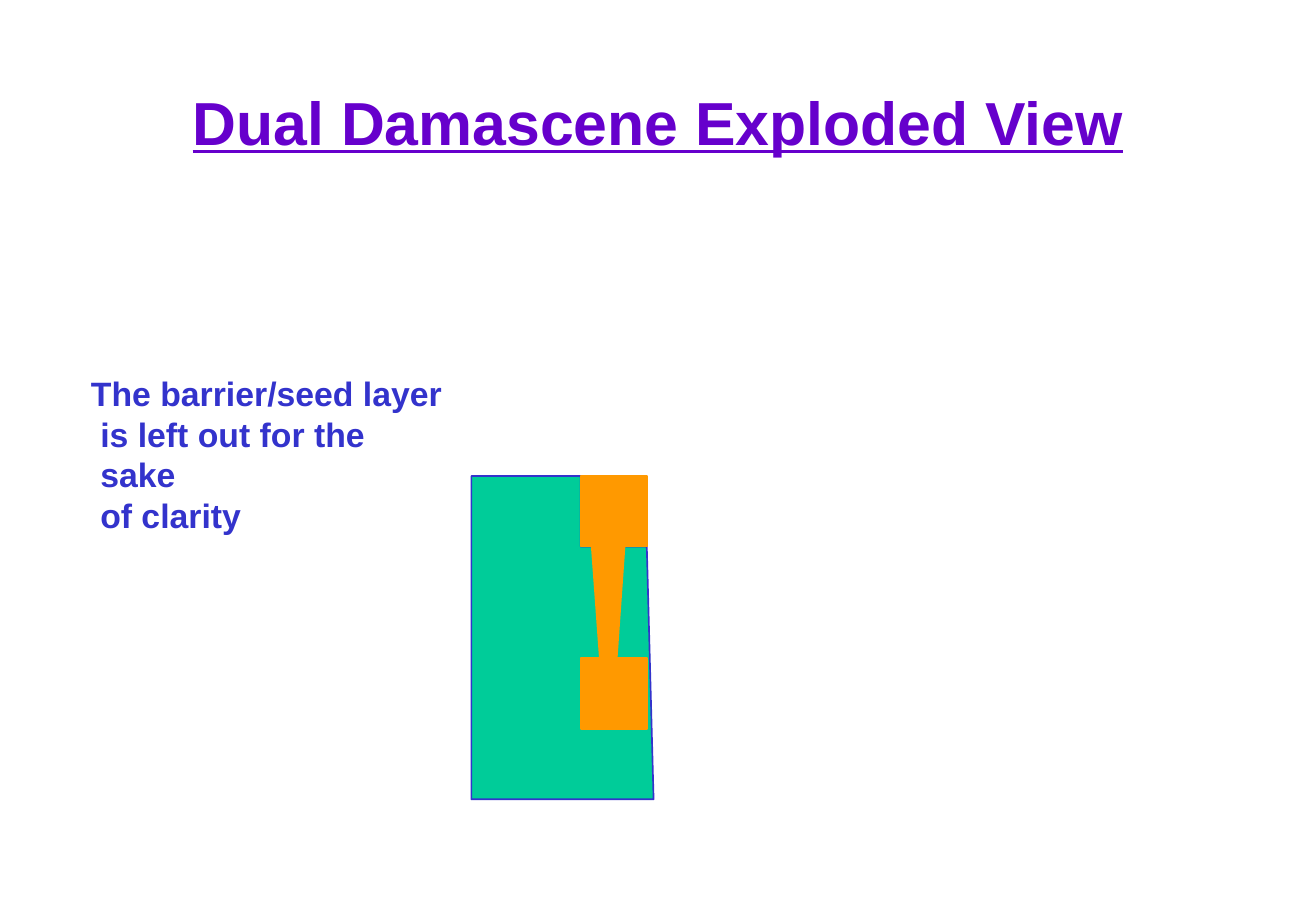
from dataclasses import dataclass

from pptx import Presentation
from pptx.dml.color import RGBColor
from pptx.enum.shapes import MSO_SHAPE
from pptx.enum.text import MSO_ANCHOR, MSO_AUTO_SIZE, PP_ALIGN
from pptx.shapes.autoshape import Shape
from pptx.slide import Slide
from pptx.text.text import _Paragraph
from pptx.util import Pt

COLORS = {
    "title": "6600CC",
    "note": "3333CC",
    "oxide": "00CC99",
    "copper": "FF9900",
}


@dataclass(frozen=True)
class Outline:
    points: tuple[tuple[float, float], ...]
    fill: str
    line: str


@dataclass(frozen=True)
class Metal:
    left: float
    top: float
    width: float
    height: float


def color(name: str) -> RGBColor:
    return RGBColor.from_string(COLORS[name])


def paint(shape: Shape, fill: str, line: str) -> None:
    shape.shadow.inherit = False
    shape.fill.solid()
    shape.fill.fore_color.rgb = color(fill)
    shape.line.color.rgb = color(line)
    shape.line.width = Pt(1)


def draw_outline(slide: Slide, item: Outline) -> None:
    first, *rest = [(Pt(x), Pt(y)) for x, y in item.points]
    pen = slide.shapes.build_freeform(*first)
    pen.add_line_segments(rest, close=True)
    paint(pen.convert_to_shape(), item.fill, item.line)


def draw_metal(slide: Slide, item: Metal) -> None:
    box = (Pt(item.left), Pt(item.top), Pt(item.width), Pt(item.height))
    shape = slide.shapes.add_shape(MSO_SHAPE.RECTANGLE, *box)
    paint(shape, "copper", "copper")


def style(line: _Paragraph, size: float, tone: str) -> None:
    for run in line.runs:
        run.font.name = "Arial"
        run.font.size = Pt(size)
        run.font.bold = True
        run.font.color.rgb = color(tone)


def draw_title(slide: Slide) -> None:
    title = slide.shapes.title
    title.left, title.top = Pt(32.5), Pt(26.6)
    title.width, title.height = Pt(715), Pt(90)
    frame = title.text_frame
    frame.text = "Dual Damascene Exploded View"
    frame.word_wrap = True
    frame.auto_size = MSO_AUTO_SIZE.NONE
    frame.vertical_anchor = MSO_ANCHOR.MIDDLE
    line = frame.paragraphs[0]
    line.alignment = PP_ALIGN.CENTER
    style(line, 36, "title")
    line.runs[0].font.underline = True


def draw_note(slide: Slide) -> None:
    box = slide.shapes.add_textbox(Pt(46.8), Pt(217.6), Pt(226.8), Pt(79.2))
    frame = box.text_frame
    frame.word_wrap = False
    frame.auto_size = MSO_AUTO_SIZE.SHAPE_TO_FIT_TEXT
    frame.text = "The barrier/seed layer\nis left out for the sake\nof clarity"
    for line in frame.paragraphs:
        line.alignment = PP_ALIGN.LEFT
        style(line, 20, "note")
    for line in frame.paragraphs[1:]:
        line._p.get_or_add_pPr().set("marL", str(Pt(5.56)))


LEFT, TOP, BASE = 279.4, 282.2, 473.8
WIRE, WIDE, HIGH = 344.2, 39.2, 41.8
TRENCH, LOWER = TOP + HIGH, 390.2

OXIDE = Outline(
    (
        (LEFT, TOP),
        (WIRE, TOP),
        (WIRE, TRENCH),
        (WIRE + WIDE, TRENCH),
        (387.4, BASE),
        (LEFT, BASE),
    ),
    "oxide",
    "note",
)
VIA = Outline(
    ((350.8, TRENCH), (370.2, TRENCH), (365.6, LOWER), (355.6, LOWER)),
    "copper",
    "copper",
)


def main() -> None:
    deck = Presentation()
    deck.slide_width, deck.slide_height = Pt(780), Pt(540)
    slide = deck.slides.add_slide(deck.slide_layouts[5])
    draw_title(slide)
    for item in (OXIDE, VIA):
        draw_outline(slide, item)
    for top in (LOWER, TOP):
        draw_metal(slide, Metal(WIRE, top, WIDE, HIGH))
    draw_note(slide)
    deck.save("out.pptx")


if __name__ == "__main__":
    main()
